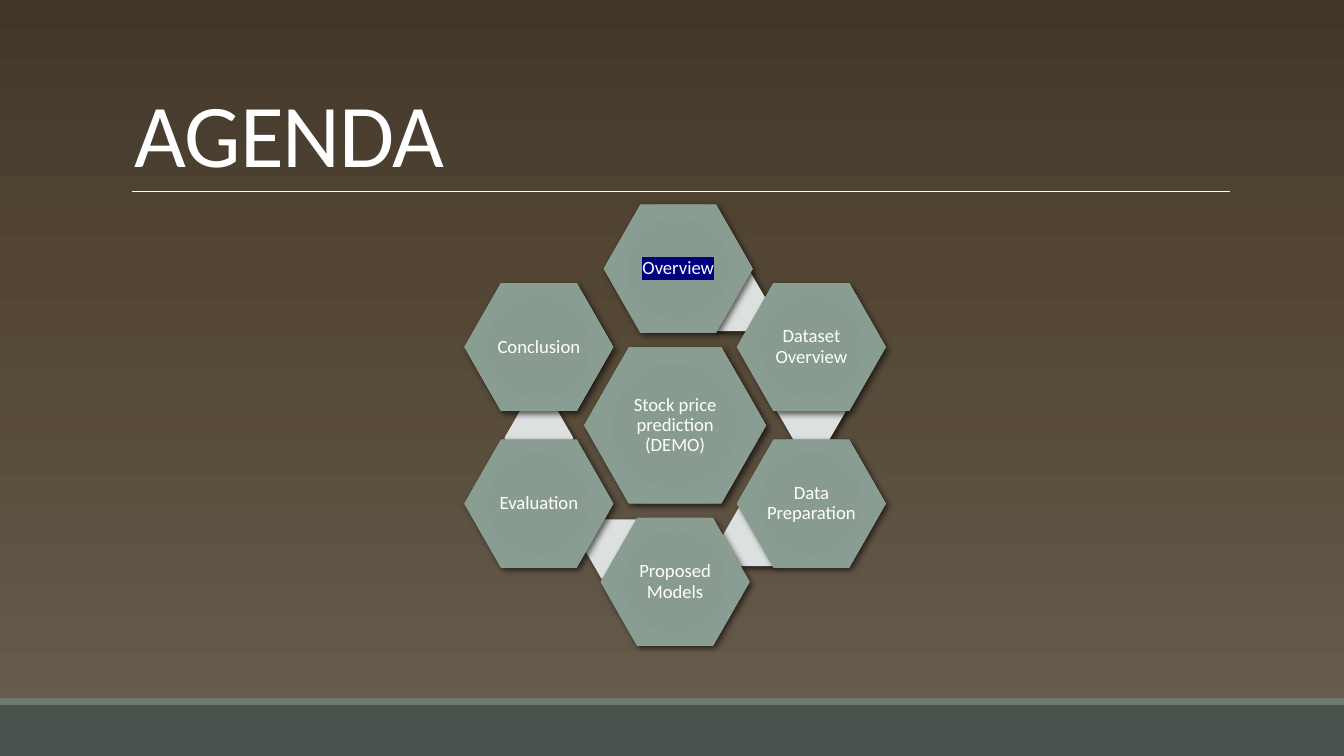
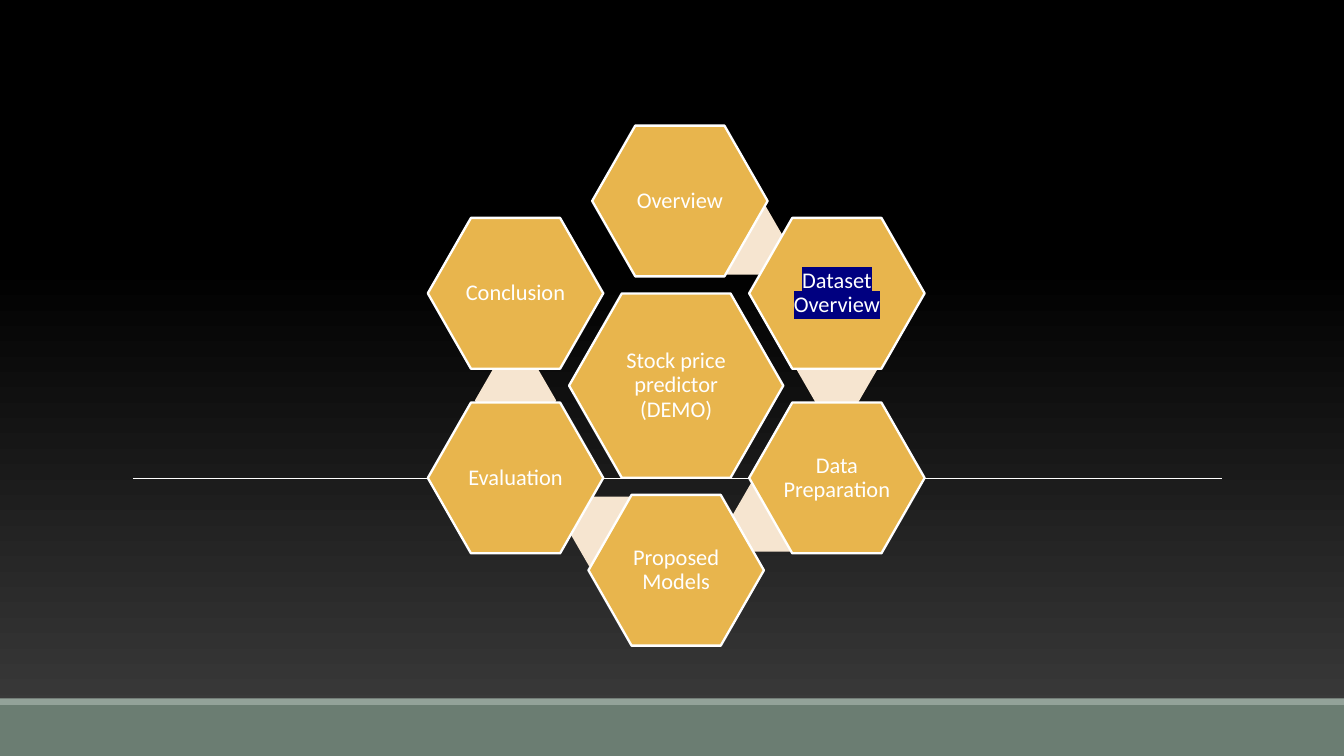
from itertools import zip_longest

from lxml import etree
from pptx import Presentation, util as u
from pptx.dml.color import RGBColor
from pptx.enum import shapes, text
from pptx.oxml import ns

FONT = "Calibri"
WHITE = "FFFFFF"
MARK = "000080"
PAGE_WIDTH, PAGE_HEIGHT = 25.4, 14.29
STRIP_TOP, BAND_TOP = 13.2, 13.33

TOPICS = ["Overview", "Dataset Overview", "Data Preparation",
          "Proposed Models", "Evaluation", "Conclusion"]
TOPIC_SPOTS = [(0.02, -1), (0.87, -0.5), (0.87, 0.5),
               (0, 1), (-0.87, 0.5), (-0.87, -0.5)]
LINK_SPOTS = [(0.37, -0.79), (0.87, -0.09), (0.52, 0.71),
              (-0.36, 0.79), (-0.87, 0.08)]
CORE_WIDTH, TOPIC_WIDTH, LINK_WIDTH = 1.16, 0.95, 0.44
HEXAGON_RATIO = 0.86

SAGE = [(0, "87998E"), (34, "899A90"), (70, "8A9D92"), (100, "92A399")]
SLIDES = [
    {"title": "AGENDA", "core": "Stock price prediction (DEMO)",
     "current": "Overview", "center": (12.76, 8.04), "radius": 2.96,
     "background": [(0, "685D4E"), (65, "524533"), (100, "40372A")],
     "rule": (2.49, 23.24, 3.62), "bands": ("6B7D72", "47534C"),
     "node": SAGE, "link": "DCE0DE", "outline": None,
     "shadow": True, "size": 10, "margin": 0.03},
    {"title": None, "core": "Stock price predictor (DEMO)",
     "current": "Dataset Overview", "center": (12.78, 7.29), "radius": 3.49,
     "background": [(0, "3F3F3F"), (65, "000000"), (100, "000000")],
     "rule": (2.51, 23.09, 9.04), "bands": ("93A299", "6B7D72"),
     "node": "E8B54D", "link": "F6E5D0", "outline": WHITE,
     "shadow": False, "size": 12, "margin": 0.05},
]


def color(value):
    return RGBColor.from_string(value)


def apply(target, values):
    for name, value in values.items():
        setattr(target, name, value)


def add_xml(parent, tag, **values):
    element = etree.SubElement(parent, ns.qn(tag))
    for name, value in values.items():
        element.set(name, str(value))
    return element


def set_gradient(fill, owner, stops, circular=False):
    fill.gradient()
    gradient = next(owner.iter(ns.qn("a:gradFill")))
    for child in list(gradient):
        gradient.remove(child)
    stop_list = add_xml(gradient, "a:gsLst")
    for position, value in stops:
        stop = add_xml(stop_list, "a:gs", pos=position * 1000)
        add_xml(stop, "a:srgbClr", val=value)
    if circular:
        circle = add_xml(gradient, "a:path", path="circle")
        add_xml(circle, "a:fillToRect", l=100000, t=100000, r=100000, b=100000)
    else:
        add_xml(gradient, "a:lin", ang=270 * 60000, scaled=0)


def add_filled(parent, kind, left, top, width, height, fill, outline=None):
    shape = parent.shapes.add_shape(
        kind, u.Cm(left), u.Cm(top), u.Cm(width), u.Cm(height))
    shape.shadow.inherit = False
    if isinstance(fill, list):
        set_gradient(shape.fill, shape._element.spPr, fill, circular=True)
    else:
        shape.fill.solid()
        shape.fill.fore_color.rgb = color(fill)
    if outline:
        shape.line.color.rgb = color(outline)
        shape.line.width = u.Pt(1.25)
    else:
        shape.line.fill.background()
    return shape


def add_shadow(shape, blur):
    effects = shape._element.spPr.find(ns.qn("a:effectLst"))
    shadow = add_xml(effects, "a:outerShdw", blurRad=u.Pt(blur), dist=u.Pt(2),
                     dir=45 * 60000, algn="br", rotWithShape=0)
    black = add_xml(shadow, "a:srgbClr", val="000000")
    add_xml(black, "a:alpha", val=60000)


def write(frame, words, size, frame_format, para_format):
    apply(frame, {"word_wrap": True, **frame_format})
    para = frame.paragraphs[0]
    apply(para, para_format)
    span = para.add_run()
    span.text = words
    apply(span.font, {"name": FONT, "size": u.Pt(size)})
    span.font.color.rgb = color(WHITE)
    return span


def highlight(span):
    properties = span.font._element
    mark = add_xml(properties, "a:highlight")
    add_xml(mark, "a:srgbClr", val=MARK)
    properties.find(ns.qn("a:solidFill")).addnext(mark)


def add_hexagon(group, look, spot, width, fill, bend, blur, outline=None):
    center_x, center_y = look["center"]
    radius = look["radius"]
    width *= radius
    height = width * HEXAGON_RATIO
    shape = add_filled(
        group, shapes.MSO_SHAPE.HEXAGON,
        center_x + spot[0] * radius - width / 2,
        center_y + spot[1] * radius - height / 2,
        width, height, fill, outline)
    shape.adjustments[0] = bend
    if look["shadow"]:
        add_shadow(shape, blur)
    return shape


def add_node(group, look, words, spot, width):
    shape = add_hexagon(group, look, spot, width, look["node"],
                        0.286, 3.5, look["outline"])
    sides = ("margin_left", "margin_top", "margin_right", "margin_bottom")
    frame_format = dict.fromkeys(sides, u.Cm(look["margin"]))
    frame_format["vertical_anchor"] = text.MSO_ANCHOR.MIDDLE
    span = write(shape.text_frame, words, look["size"], frame_format,
                 {"alignment": text.PP_ALIGN.CENTER, "line_spacing": 0.9})
    if words == look["current"]:
        highlight(span)


def add_frame(page, look):
    set_gradient(page.background.fill, page._element, look["background"])
    start, end, height = look["rule"]
    rule = page.shapes.add_connector(
        shapes.MSO_CONNECTOR.STRAIGHT,
        u.Cm(start), u.Cm(height), u.Cm(end), u.Cm(height))
    rule.line.color.rgb = color(WHITE)
    rule.line.width = u.Pt(0.5)
    add_xml(rule._element.spPr, "a:effectLst")
    edges = (STRIP_TOP, BAND_TOP, PAGE_HEIGHT)
    for top, bottom, fill in zip(edges, edges[1:], look["bands"]):
        add_filled(page, shapes.MSO_SHAPE.RECTANGLE,
                   0, top, PAGE_WIDTH, bottom - top, fill)


def add_title(page, words):
    box = page.shapes.add_textbox(u.Cm(2.29), u.Cm(0.61), u.Cm(20.96), u.Cm(3.02))
    span = write(box.text_frame, words, 48,
                 {"vertical_anchor": text.MSO_ANCHOR.BOTTOM},
                 {"line_spacing": 0.85, "space_after": u.Pt(6)})
    span.font._element.set("spc", "-50")


def add_ring(page, look):
    group = page.shapes.add_group_shape()
    add_node(group, look, look["core"], (0, 0), CORE_WIDTH)
    for words, spot, link in zip_longest(TOPICS, TOPIC_SPOTS, LINK_SPOTS):
        if link:
            add_hexagon(group, look, link, LINK_WIDTH, look["link"], 0.289, 3)
        add_node(group, look, words, spot, TOPIC_WIDTH)


def main():
    deck = Presentation()
    apply(deck, {"slide_width": u.Cm(PAGE_WIDTH), "slide_height": u.Cm(PAGE_HEIGHT)})
    for look in SLIDES:
        page = deck.slides.add_slide(deck.slide_layouts[6])
        add_frame(page, look)
        if look["title"]:
            add_title(page, look["title"])
        add_ring(page, look)
    deck.save("out.pptx")


if __name__ == "__main__":
    main()
